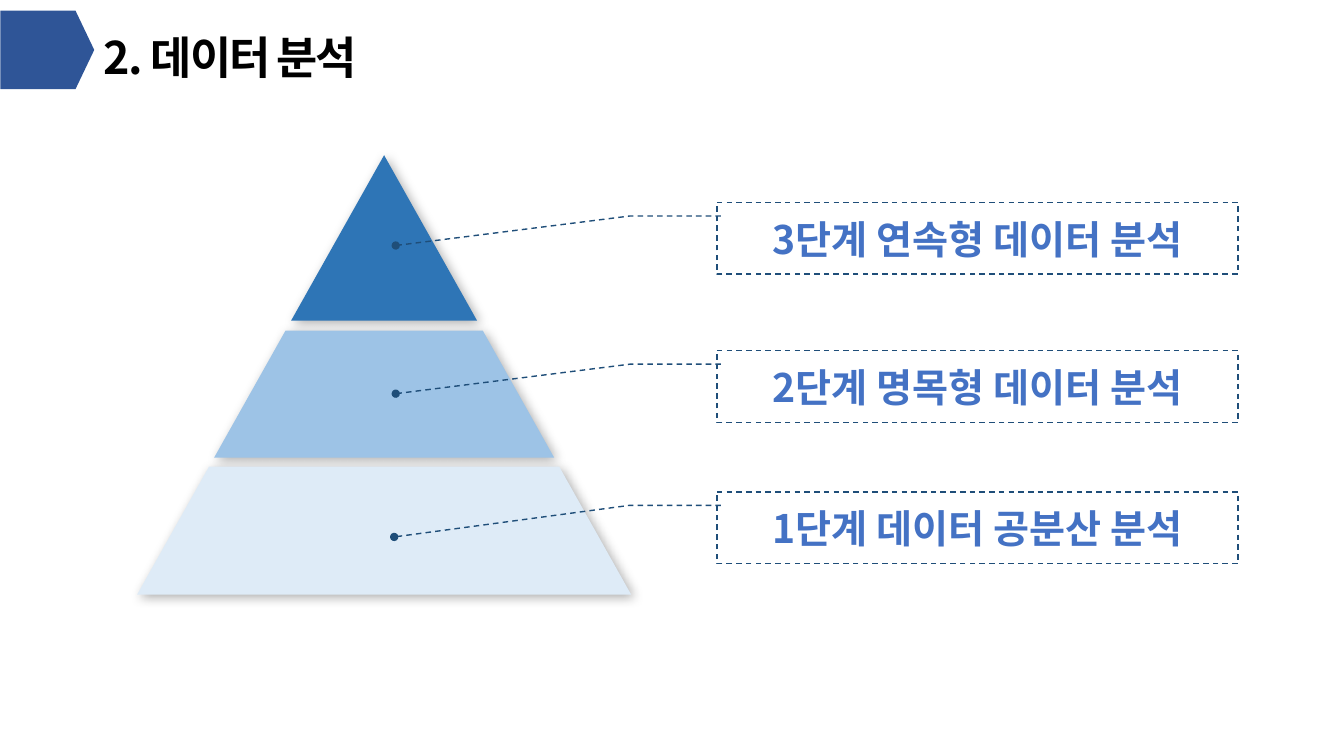
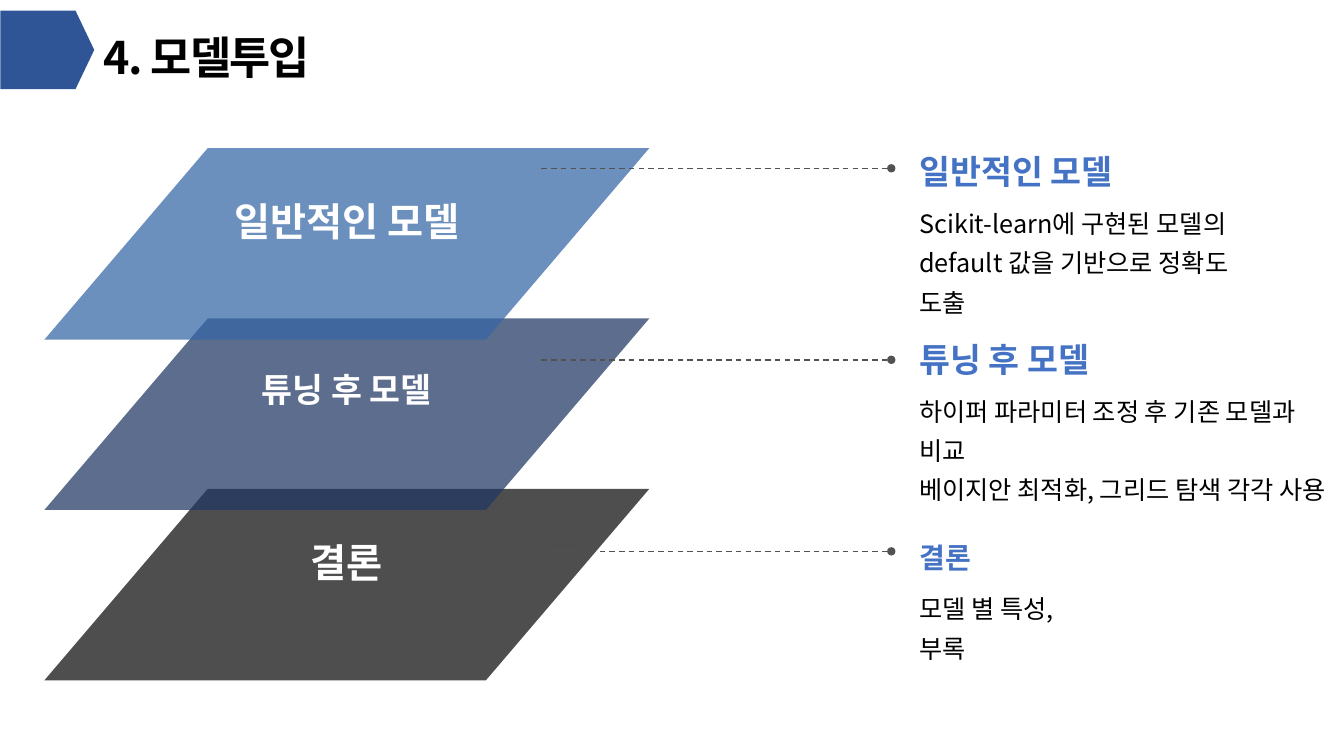
"""Builds two slides: a three-step analysis pyramid and a stack of model stages."""
from lxml import etree
from pptx import Presentation
from pptx.dml.color import RGBColor
from pptx.enum.dml import MSO_LINE
from pptx.enum.shapes import MSO_CONNECTOR, MSO_SHAPE
from pptx.enum.text import MSO_ANCHOR, MSO_AUTO_SIZE, PP_ALIGN
from pptx.oxml.ns import qn
from pptx.util import Inches, Pt

FONT = "Noto Sans CJK KR"
BLACK, WHITE, ACCENT = "000000", "FFFFFF", "4472C4"
BAND, CALLOUT_LINE, LEADER_LINE = "2F5597", "1F4E79", "525252"

PYRAMID_TITLE = "2. 데이터 분석"
APEX_X, APEX_Y, SLOPE = 3.81, 1.54, 0.562
TIERS = [
    (1.54, 3.18, "2E75B6"),
    (3.28, 4.54, "9DC3E6"),
    (4.63, 5.9, "DEEBF7"),
]
CALLOUTS = [
    ("3단계 연속형 데이터 분석", 2.01, (0.6, -0.616)),
    ("2단계 명목형 데이터 분석", 3.48, (0.6, -0.616)),
    ("1단계 데이터 공분산 분석", 4.88, (0.63, -0.619)),
]

MODEL_TITLE = "4. 모델투입"
LAYER_TOP, LAYER_STEP = 1.47, 1.69
LEADER_TOP, LEADER_STEP = 1.67, 1.9
STAGES = [
    {"name": "일반적인 모델", "fill": "3667A5", "size": 28, "head_size": 24,
     "top": 1.37, "width": 3.6,
     "details": ["Scikit-learn에 구현된 모델의", "default 값을 기반으로 정확도 도출"]},
    {"name": "튜닝 후 모델", "fill": "203864", "size": 24, "head_size": 24,
     "top": 3.23, "width": 4.3,
     "details": ["하이퍼 파라미터 조정 후 기존 모델과 비교",
                 "베이지안 최적화, 그리드 탐색 각각 사용"]},
    {"name": "결론", "fill": "0D0D0D", "size": 28, "head_size": 20,
     "top": 5.19, "width": 1.92,
     "details": ["모델 별 특성, 부록"]},
]


def rgb(value):
    return RGBColor.from_string(value)


def box(*lengths):
    return [Inches(n) for n in lengths]


def write(sp, lines, size, color, bold=False, align=PP_ALIGN.LEFT,
          anchor=MSO_ANCHOR.TOP, spacing=1.0, tracking=None):
    tf = sp.text_frame
    tf.text = "\n".join(lines)
    tf.word_wrap = True
    tf.auto_size = MSO_AUTO_SIZE.NONE
    tf.vertical_anchor = anchor
    for p in tf.paragraphs:
        p.alignment = align
        p.line_spacing = spacing
        p.font.size = Pt(size)
        p.font.bold = bold
        p.font.color.rgb = rgb(color)
        p.font.name = FONT
        props = p._p.pPr.find(qn("a:defRPr"))
        etree.SubElement(props, qn("a:ea"), typeface=FONT)
        if tracking:
            props.set("spc", str(tracking))
    return tf


def fill_shape(sp, color, alpha=None):
    sp.shadow.inherit = False
    sp.line.fill.background()
    sp.fill.solid()
    sp.fill.fore_color.rgb = rgb(color)
    if alpha:
        clr = sp.fill._xPr.find(qn("a:solidFill"))[0]
        etree.SubElement(clr, qn("a:alpha"), val=str(alpha * 1000))


def dash_line(line, color):
    line.color.rgb = rgb(color)
    line.width = Pt(1)
    line.dash_style = MSO_LINE.DASH
    etree.SubElement(line._get_or_add_ln(), qn("a:tailEnd"), type="oval")


def drop_shadow(sp):
    effects = sp._element.spPr.find(qn("a:effectLst"))
    shadow = etree.SubElement(effects, qn("a:outerShdw"), blurRad=str(Pt(8)),
                              dist=str(Pt(3)), dir="2700000", algn="tl", rotWithShape="0")
    clr = etree.SubElement(shadow, qn("a:srgbClr"), val=BLACK)
    etree.SubElement(clr, qn("a:alpha"), val="31000")


def new_slide(prs, title):
    s = prs.slides.add_slide(prs.slide_layouts[5])
    band = s.shapes.add_shape(MSO_SHAPE.FLOWCHART_OFFPAGE_CONNECTOR,
                              *box(0.08, 0.03, 0.78, 0.93))
    band.rotation = 270
    fill_shape(band, BAND)
    sp = s.shapes.title
    sp.left, sp.top, sp.width, sp.height = box(0.93, 0.15, 10, 0.73)
    write(sp, [title], 32, BLACK, True, anchor=MSO_ANCHOR.BOTTOM, spacing=1.2, tracking=-150)
    return s


def add_tier(s, top, bottom, color):
    upper, lower = (SLOPE * (y - APEX_Y) for y in (top, bottom))
    corners = [(APEX_X - upper, top), (APEX_X + upper, top),
               (APEX_X + lower, bottom), (APEX_X - lower, bottom)]
    start, *rest = dict.fromkeys(tuple(box(*c)) for c in corners)
    outline = s.shapes.build_freeform(*start)
    outline.add_line_segments(rest, close=True)
    sp = outline.convert_to_shape()
    fill_shape(sp, color)
    drop_shadow(sp)


def add_callout(s, text, top, target):
    sp = s.shapes.add_shape(MSO_SHAPE.LINE_CALLOUT_2, *box(7.11, top, 5.17, 0.71))
    for i, value in enumerate((0.188, 0.008, 0.188, -0.167, *target)):
        sp.adjustments[i] = value
    sp.shadow.inherit = False
    sp.fill.background()
    dash_line(sp.line, CALLOUT_LINE)
    write(sp, [text], 28, ACCENT, True, PP_ALIGN.CENTER, MSO_ANCHOR.MIDDLE)


def add_layer(s, stage, top):
    sp = s.shapes.add_shape(MSO_SHAPE.PARALLELOGRAM, *box(0.44, top, 6, 1.9))
    sp.adjustments[0] = 0.853
    fill_shape(sp, stage["fill"], 73)
    tf = write(sp, [stage["name"]], stage["size"], WHITE, True, PP_ALIGN.CENTER, spacing=0.9)
    tf.margin_left = tf.margin_right = tf.margin_bottom = 0
    tf.margin_top = Inches(0.17)


def add_leader(s, y):
    line = s.shapes.add_connector(MSO_CONNECTOR.STRAIGHT, *box(5.37, y, 8.84, y))
    dash_line(line.line, LEADER_LINE)
    etree.SubElement(line._element.spPr, qn("a:effectLst"))


def add_stage_text(s, stage):
    head = s.shapes.add_textbox(*box(9.02, stage["top"], 3.64, 0.71))
    write(head, [stage["name"]], stage["head_size"], ACCENT, True,
          anchor=MSO_ANCHOR.MIDDLE, spacing=0.9)
    body = s.shapes.add_textbox(*box(9.02, stage["top"] + 0.56, stage["width"], 0.87))
    write(body, stage["details"], 18, BLACK, spacing=1.3).margin_right = 0


def main():
    prs = Presentation()
    prs.slide_width, prs.slide_height = box(13.33, 7.5)

    s = new_slide(prs, PYRAMID_TITLE)
    for tier in TIERS:
        add_tier(s, *tier)
    for callout in CALLOUTS:
        add_callout(s, *callout)

    s = new_slide(prs, MODEL_TITLE)
    for i, stage in reversed(list(enumerate(STAGES))):
        add_layer(s, stage, LAYER_TOP + i * LAYER_STEP)
    for i, stage in enumerate(STAGES):
        add_leader(s, LEADER_TOP + i * LEADER_STEP)
        add_stage_text(s, stage)

    prs.save("out.pptx")


if __name__ == "__main__":
    main()
